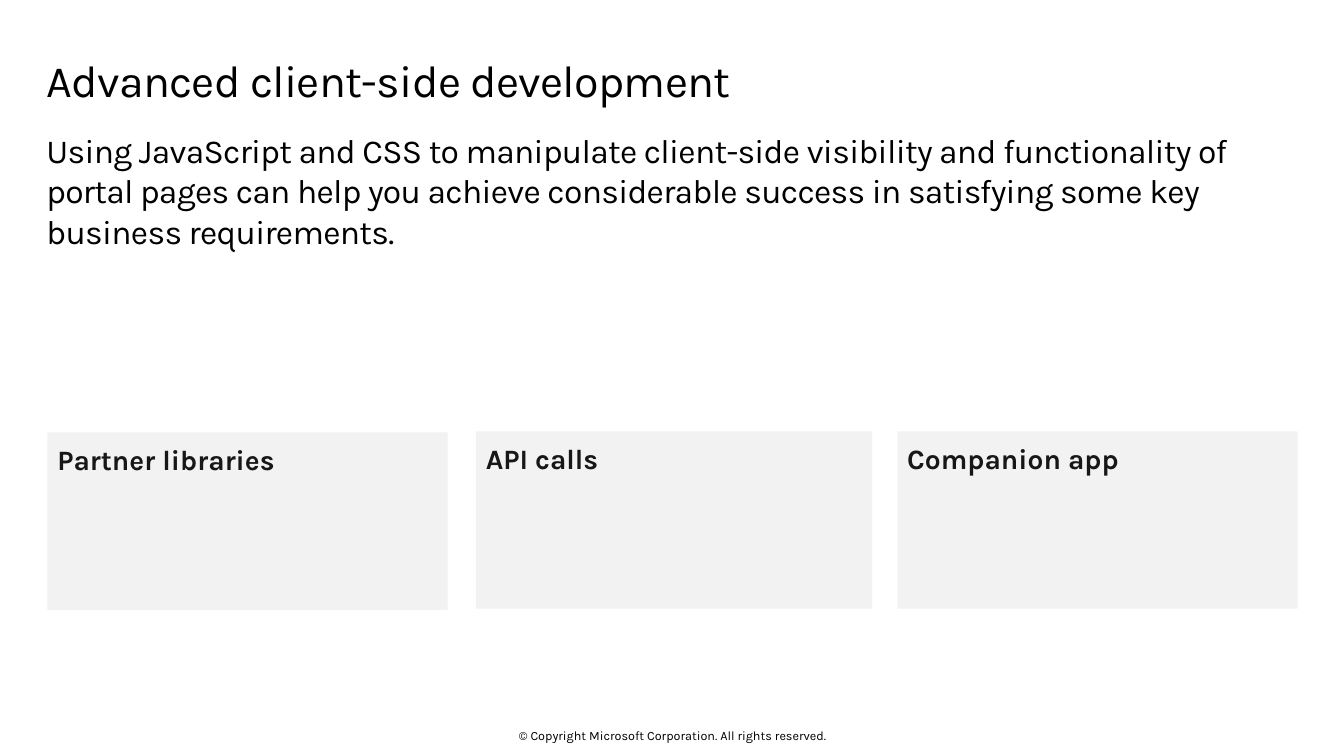
from pptx import Presentation
from pptx.dml.color import RGBColor
from pptx.enum import shapes, text
from pptx.util import Inches, Pt

COLORS = {"text": "000000", "heading": "171717", "card": "F2F2F2"}
FONT = "Karla"
CARDS = [
    ("Partner libraries", 0.47, 4.29, 3.97),
    ("API calls", 4.72, 4.28, 3.93),
    ("Companion app", 8.9, 4.28, 3.97),
]
CARD_HEIGHT = 1.76


def write_text(shape, content, *, size, color="text", bold=False, spacing=0,
               align=text.PP_ALIGN.LEFT, anchor=text.MSO_ANCHOR.TOP,
               insets=(0, 0, 0, 0), line_spacing=1.0, space_after=0):
    """Fill a shape with one paragraph; spacing is in points between letters."""
    frame = shape.text_frame
    frame.word_wrap = True
    frame.auto_size = text.MSO_AUTO_SIZE.NONE
    frame.vertical_anchor = anchor
    (frame.margin_left, frame.margin_top,
     frame.margin_right, frame.margin_bottom) = map(Inches, insets)

    paragraph = frame.paragraphs[0]
    paragraph.alignment = align
    paragraph.line_spacing = line_spacing
    paragraph.space_before = Pt(0)
    paragraph.space_after = Pt(space_after)
    run = paragraph.add_run()
    run.text = content
    run.font.name = FONT
    run.font.size = Pt(size)
    run.font.bold = bold
    run.font.color.rgb = RGBColor.from_string(COLORS[color])
    if spacing:
        run._r.get_or_add_rPr().set("spc", str(round(spacing * 100)))
    return paragraph


def place(shape, left, top, width, height):
    shape.left, shape.top = Inches(left), Inches(top)
    shape.width, shape.height = Inches(width), Inches(height)


def remove_bullet(paragraph):
    properties = paragraph._p.get_or_add_pPr()
    properties.set("marL", "0")
    properties.set("indent", "0")
    bullet_none = properties.makeelement(
        "{http://schemas.openxmlformats.org/drawingml/2006/main}buNone", {})
    properties.append(bullet_none)


def add_card(slide, heading, left, top, width):
    card = slide.shapes.add_shape(
        shapes.MSO_SHAPE.RECTANGLE,
        Inches(left), Inches(top), Inches(width), Inches(CARD_HEIGHT))
    card.shadow.inherit = False
    card.fill.solid()
    card.fill.fore_color.rgb = RGBColor.from_string(COLORS["card"])
    card.line.fill.background()
    write_text(card, heading, size=20, color="heading", bold=True,
               insets=(0.1, 0.1, 0.1, 0.1), space_after=6)


def add_footer(slide, content):
    footer = slide.shapes.add_textbox(
        Inches(4.42), Inches(7.22), Inches(4.5), Inches(0.15))
    write_text(footer, content, size=9, align=text.PP_ALIGN.CENTER,
               anchor=text.MSO_ANCHOR.MIDDLE)


def main():
    presentation = Presentation()
    presentation.slide_width = Inches(13.33)
    presentation.slide_height = Inches(7.5)
    slide = presentation.slides.add_slide(presentation.slide_layouts[1])

    title = slide.shapes.title
    place(title, 0.46, 0.48, 12.4, 0.74)
    write_text(title, "Advanced client-side development", size=32,
               spacing=-0.5, insets=(0, 0.1, 0.16, 0.1), line_spacing=0.9)

    body = slide.placeholders[1]
    place(body, 0.46, 1.29, 12.39, 1.7)
    introduction = write_text(
        body,
        "Using JavaScript and CSS to manipulate client-side visibility and "
        "functionality of portal pages can help you achieve considerable "
        "success in satisfying some key business requirements.",
        size=24, spacing=-0.5, space_after=4)
    remove_bullet(introduction)

    for card in CARDS:
        add_card(slide, *card)
    add_footer(slide, "© Copyright Microsoft Corporation. All rights reserved.")
    presentation.save("out.pptx")


if __name__ == "__main__":
    main()
